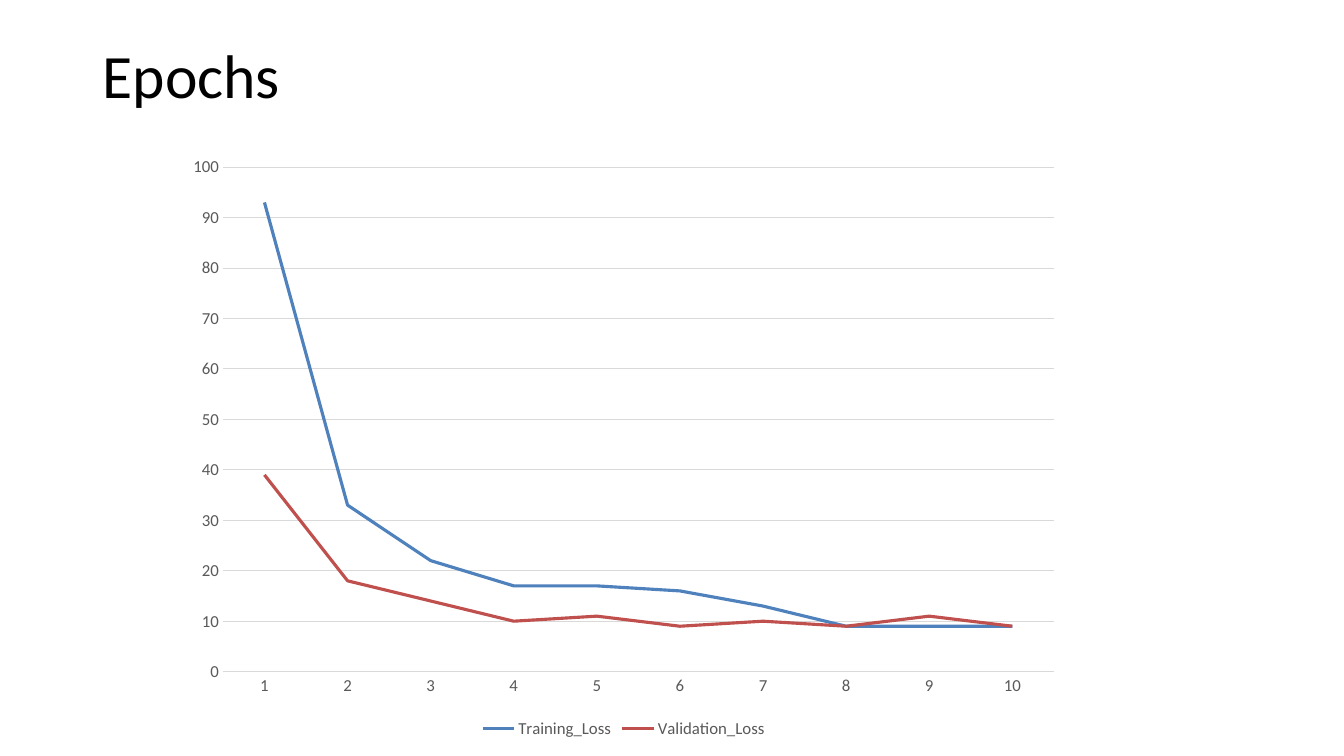
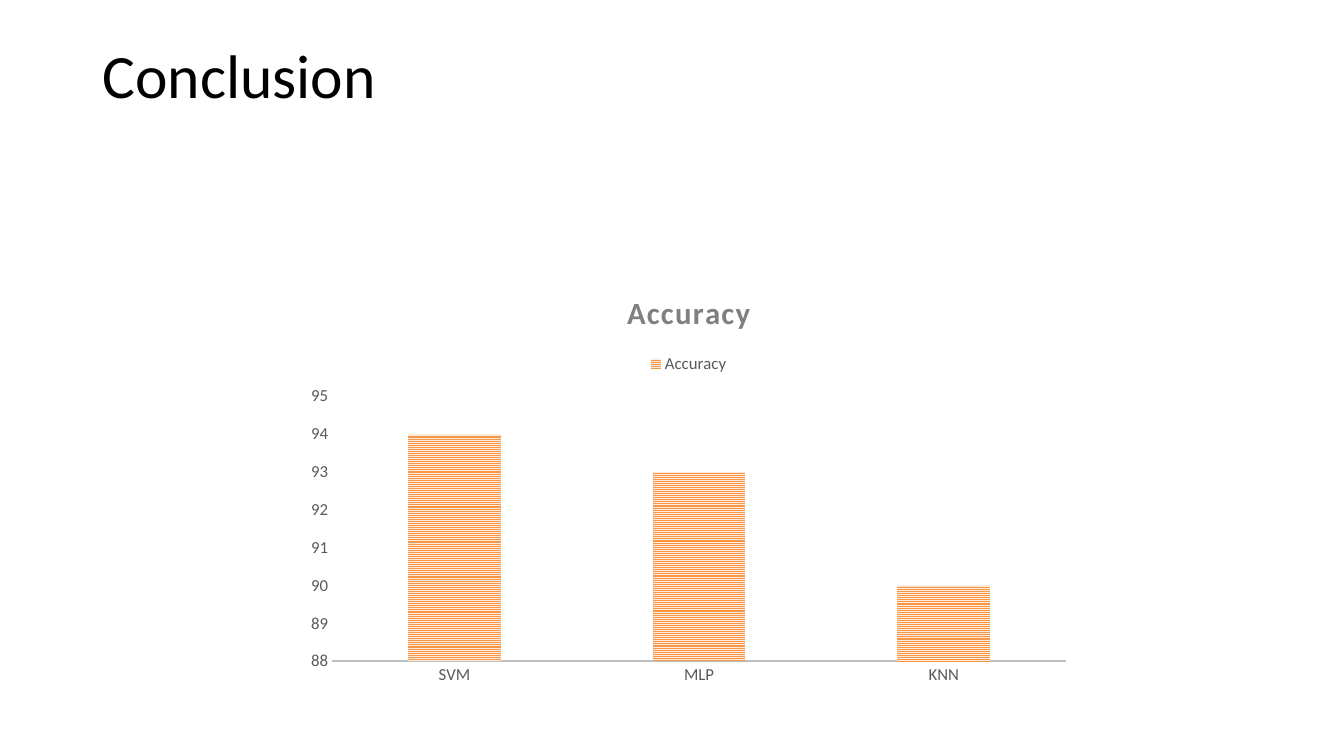
from pptx import Presentation
from pptx import util as u
from pptx.chart.data import CategoryChartData
from pptx.dml.color import RGBColor
from pptx.enum import chart as ch, dml


def tint(code):
    return RGBColor.from_string(code)


class Deck:
    face = "Calibri"
    ink = "000000"
    gray = "595959"

    def __init__(self):
        self.prs = Presentation()
        self.prs.slide_width = u.Inches(13.33)
        self.prs.slide_height = u.Inches(7.5)
        self.slide = None

    def page(self, title):
        self.slide = self.prs.slides.add_slide(self.prs.slide_layouts[6])
        box = self.slide.shapes.add_textbox(*map(u.Inches, (0.92, 0.4, 11.5, 1.45)))
        frame = box.text_frame
        frame.word_wrap = True
        frame.text = title
        para = frame.paragraphs[0]
        para.line_spacing = 0.9
        self.font(para.runs[0].font, 44, self.ink)

    def font(self, font, size, color, bold=False):
        font.name = self.face
        font.size = u.Pt(size)
        font.bold = bold
        font.color.rgb = tint(color)

    def line(self, line, color, width):
        line.color.rgb = tint(color)
        line.width = u.Pt(width)

    def chart(self, kind, area, cats, rows, legend, base, scale):
        data = CategoryChartData()
        data.categories = cats
        for name, vals in rows:
            data.add_series(name, vals)
        chart = self.slide.shapes.add_chart(kind, *map(u.Inches, area), data).chart
        self.font(chart.font, 10, self.ink)
        chart.has_title = False
        chart.has_legend = True
        chart.legend.position = legend
        chart.legend.include_in_layout = False
        self.font(chart.legend.font, 12, self.gray)
        for axis in (chart.category_axis, chart.value_axis):
            axis.major_tick_mark = axis.minor_tick_mark = ch.XL_TICK_MARK.NONE
            self.font(axis.tick_labels.font, 12, self.gray)
        self.line(chart.category_axis.format.line, *base)
        axis = chart.value_axis
        axis.format.line.fill.background()
        axis.minimum_scale, axis.maximum_scale, axis.major_unit = scale
        chart.plots[0].vary_by_categories = False
        return chart

    def lines(self, area, cats, rows, colors):
        rule = ("D9D9D9", 0.75)
        chart = self.chart(ch.XL_CHART_TYPE.LINE, area, cats, rows,
                           ch.XL_LEGEND_POSITION.BOTTOM, rule, (0, 100, 10))
        self.line(chart.value_axis.major_gridlines.format.line, *rule)
        for row, color in zip(chart.plots[0].series, colors):
            row.smooth = False
            row.marker.style = ch.XL_MARKER_STYLE.NONE
            self.line(row.format.line, color, 2.25)

    def bars(self, area, cats, row, title, fore, back):
        chart = self.chart(ch.XL_CHART_TYPE.COLUMN_CLUSTERED, area, cats, [row],
                           ch.XL_LEGEND_POSITION.TOP, ("BFBFBF", 1.5), (88, 95, 1))
        chart.value_axis.has_major_gridlines = False
        chart.has_title = True
        chart.chart_title.include_in_layout = False
        frame = chart.chart_title.text_frame
        frame.text = title
        run = frame.paragraphs[0].runs[0]
        self.font(run.font, 22, "808080", True)
        run.font._element.set("spc", "100")
        plot = chart.plots[0]
        plot.gap_width = 164
        plot.overlap = -22
        fill = plot.series[0].format.fill
        fill.patterned()
        fill.pattern = dml.MSO_PATTERN.NARROW_HORIZONTAL
        fill.fore_color.rgb = tint(fore)
        fill.back_color.rgb = tint(back)


def main():
    deck = Deck()
    deck.page("Epochs")
    deck.lines((1.74, 1.44, 8.89, 5.93), [str(n) for n in range(1, 11)],
               [("Training_Loss", (93, 33, 22, 17, 17, 16, 13, 9, 9, 9)),
                ("Validation_Loss", (39, 18, 14, 10, 11, 9, 10, 9, 11, 9))],
               ("4F81BD", "C0504D"))
    deck.page("Conclusion")
    deck.bars((2.93, 2.7, 7.8, 4.18), ("SVM", "MLP", "KNN"),
              ("Accuracy", (94, 93, 90)), "Accuracy", "F79646", "FDEADA")
    deck.prs.save("out.pptx")


if __name__ == "__main__":
    main()
